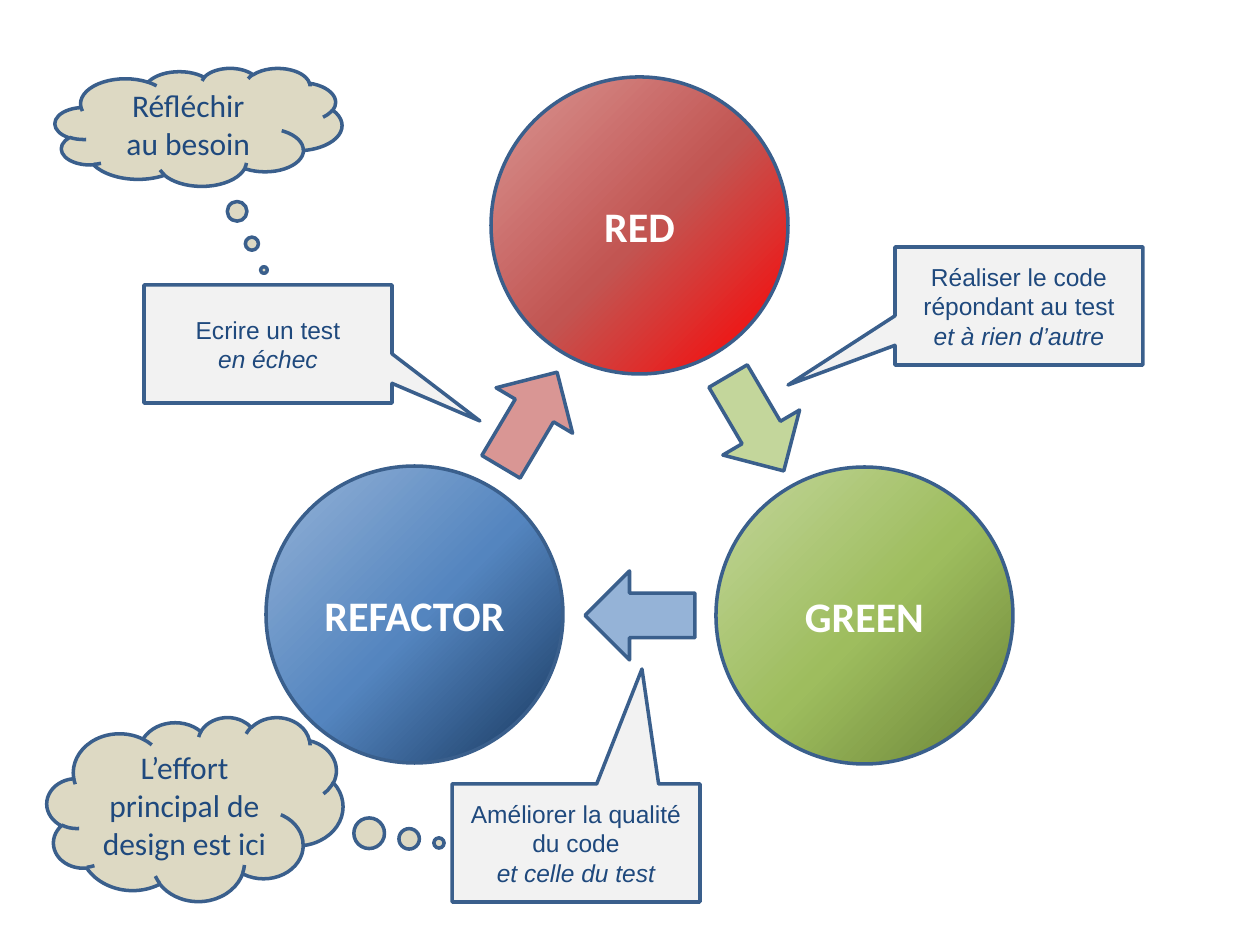
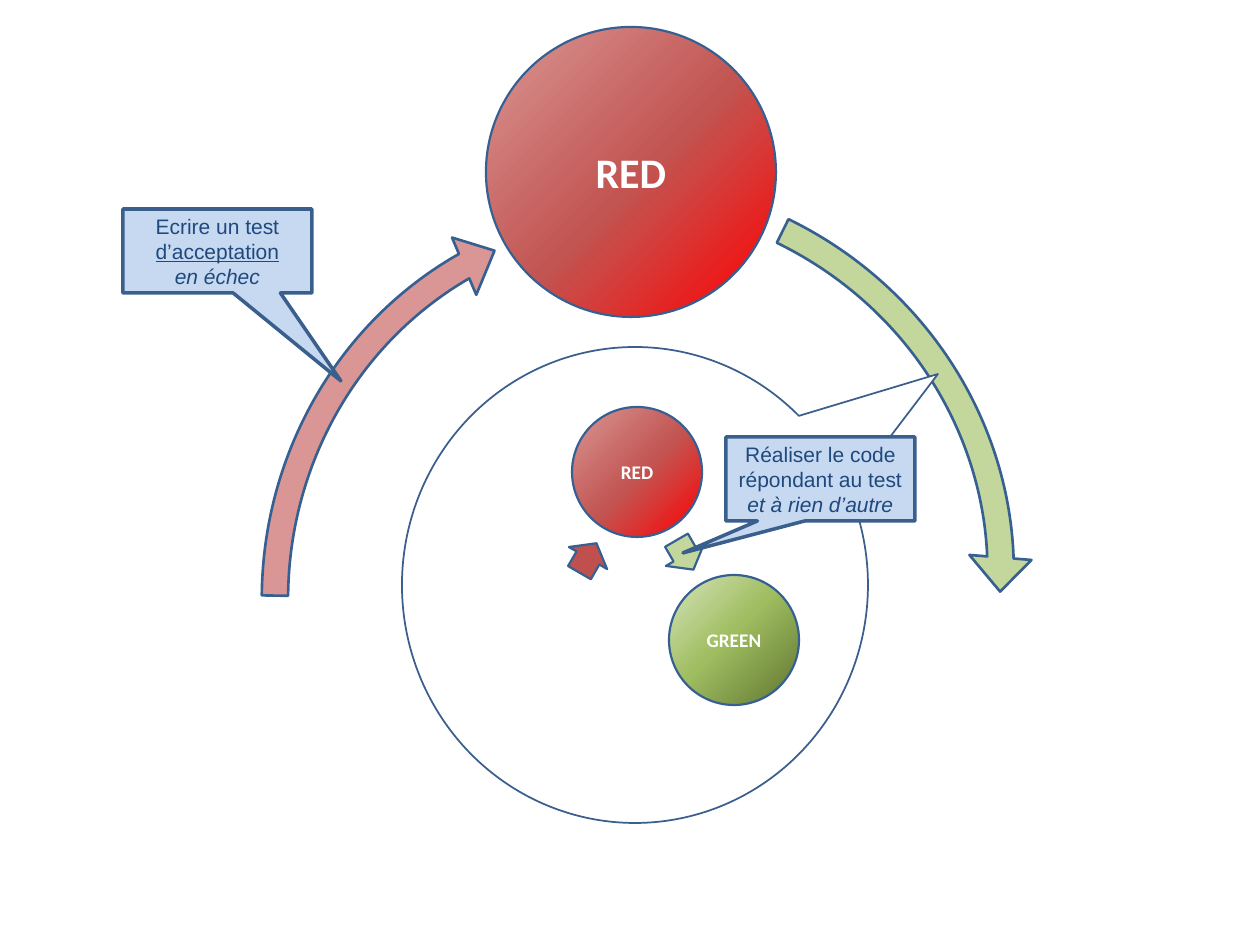
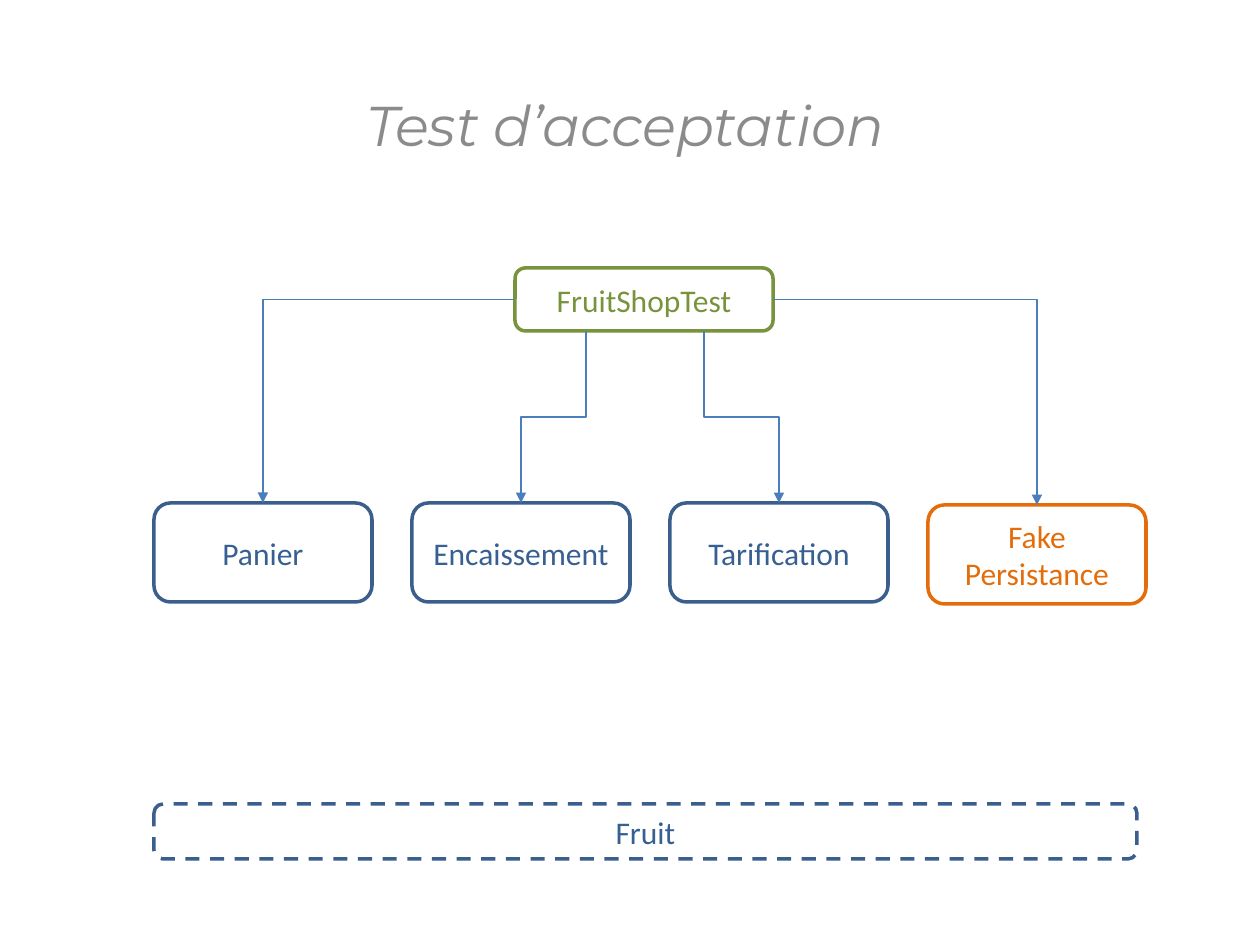
import pptx
import pptx.dml.color
import pptx.enum.dml
import pptx.enum.shapes
import pptx.enum.text
import pptx.oxml
import pptx.oxml.ns
import pptx.util

PX = 914400 // 126
SHAPE = pptx.enum.shapes.MSO_SHAPE
NAVY, OUTLINE, STEEL = "1F497D", "3A5F8C", "376092"
OLIVE, ORANGE, LINK, GREY = "77933C", "E46C0A", "4B7EBC", "8B8B8B"
PALE_GREY, PALE_BLUE, SAND, WHITE = "F2F2F2", "C6D9F1", "DDD9C3", "FFFFFF"
PINK, LIME, SKY, BRICK = "D99694", "C3D69B", "95B3D7", "C0504D"

# Gradients: stops as (percent, colour), then the angle
RED = ([(0, "FF0000"), (48, "C25552"), (100, PINK)], 225)
GREEN = ([(0, "6A8336"), (48, "9EBD5E"), (100, LIME)], 225)
BLUE = ([(0, "17375E"), (48, "5485BF"), (100, SKY)], 225)
SMALL_GREEN = ([(0, "D7E4BD"), (46, "A0BE61"), (100, "5F7530")], 45)

# Texts are lists of paragraphs: (words, style)
CODE_STEP = [("Réaliser le code répondant au test", ""), ("et à rien d’autre", "italic")]
TEST_STEP = [("Ecrire un test", ""), ("en échec", "italic")]
QUALITY_STEP = [("Améliorer la qualité du code", ""), ("et celle du test", "italic")]
ACCEPTANCE_STEP = [("Ecrire un test", ""), ("d’acceptation", "underline"), ("en échec", "italic")]

# Cycle: (label, gradient, left, top)
CYCLE_SIZE = 297
CYCLE_STEPS = [("RED", RED, 491, 77), ("GREEN", GREEN, 716, 467), ("REFACTOR", BLUE, 266, 466)]
# Callouts: (text, left, top, tip)
CYCLE_CALLOUT_SIZE = (248, 118)
CYCLE_CALLOUTS = [
    (CODE_STEP, 895, 247, (788, 385)),
    (QUALITY_STEP, 452, 784, (642, 669)),
    (TEST_STEP, 144, 285, (480, 421)),
]
# Thoughts: (text, box, tip)
THOUGHTS = [
    ([("L’effort principal de design est ici", "")], (47, 717, 296, 184), (439, 843)),
    ([("Réfléchir", ""), ("au besoin", "")], (55, 68, 287, 118), (264, 270)),
]
# Arrows: (left, top, rotation, fill)
CYCLE_ARROW_SIZE = (110, 89)
CYCLE_ARROWS = [(701, 379, 239.6, LIME), (474, 375, 120.7, PINK), (585, 571, 0, SKY)]

# Outer loop: (left, top, rotation, start angle, fill)
LOOP_SIZE = (798, 828)
LOOP_ARROWS = [(221, 147, 112.5, 183.74, LIME), (244, 188, 355, 185.99, PINK)]
# Circles: (label, gradient, left, top, size, font size)
LOOP_CIRCLES = [
    ("RED", RED, 486, 27, 290, 24),
    ("RED", RED, 572, 407, 130, 11),
    ("GREEN", SMALL_GREEN, 669, 575, 130, 11),
]
INNER_ARROW_SIZE = (34, 44)
INNER_ARROWS = [(668, 533, 60, LIME), (571, 536, 300, BRICK)]
LOOP_CALLOUT_SIZE = (189, 84)
LOOP_CALLOUTS = [(ACCEPTANCE_STEP, 123, 209, (341, 381)), (CODE_STEP, 726, 437, (683, 553))]
INNER_LOOP, INNER_TIP = (402, 347, 466, 476), (938, 374)

# Modules: (paragraphs, top, text colour, line colour, x where the link leaves the root)
MODULES = [
    (["Panier"], 503, STEEL, OUTLINE, None),
    (["Encaissement"], 503, STEEL, OUTLINE, 586),
    (["Tarification"], 503, STEEL, OUTLINE, 704),
    (["Fake", "Persistance"], 505, ORANGE, ORANGE, None),
]
MODULE_LEFT, MODULE_PITCH, MODULE_SIZE = 154, 258, (218, 99)
ROOT, BASE, TITLE = (515, 268, 258, 63), (154, 804, 983, 55), (35, 84, 1181, 81)


def rgb(colour):
    return pptx.dml.color.RGBColor.from_string(colour)


def emu(*lengths):
    return [round(length * PX) for length in lengths]


def write(shape, paragraphs, size, font="Calibri", colour=NAVY, bold=False, italic=False):
    frame = shape.text_frame
    frame.word_wrap = True
    for index, (words, style) in enumerate(paragraphs):
        paragraph = frame.paragraphs[0] if index == 0 else frame.add_paragraph()
        paragraph.alignment = pptx.enum.text.PP_ALIGN.CENTER
        run = paragraph.add_run()
        run.text = words
        run.font.name, run.font.size = font, pptx.util.Pt(size)
        run.font.color.rgb = rgb(colour)
        run.font.bold = bold
        run.font.italic = italic or style == "italic"
        run.font.underline = style == "underline"


def fill_gradient(shape, stops, angle):
    shape.fill.gradient()
    gradient = shape.fill._xPr.find(pptx.oxml.ns.qn("a:gradFill"))
    stop_list = gradient.find(pptx.oxml.ns.qn("a:gsLst"))
    for stop in list(stop_list):
        stop_list.remove(stop)
    for percent, colour in stops:
        stop_list.append(pptx.oxml.parse_xml(
            f'<a:gs {pptx.oxml.ns.nsdecls("a")} pos="{percent * 1000}">'
            f'<a:srgbClr val="{colour}"/></a:gs>'))
    shape.fill.gradient_angle = 360 - angle


def add_shape(slide, kind, box, fill=None, line=OUTLINE, width=2, rotation=0, adjustments=()):
    """Add a preset shape; fill is a colour, a gradient or None."""
    shape = slide.shapes.add_shape(kind, *emu(*box))
    shape.shadow.inherit = False
    shape.rotation = rotation
    for index, value in enumerate(adjustments):
        shape.adjustments[index] = value
    if fill is None:
        shape.fill.background()
    elif isinstance(fill, str):
        shape.fill.solid()
        shape.fill.fore_color.rgb = rgb(fill)
    else:
        fill_gradient(shape, *fill)
    shape.line.color.rgb = rgb(line)
    shape.line.width = pptx.util.Pt(width)
    return shape


def add_callout(slide, kind, box, tip, fill, **line):
    """Add a callout whose tail ends at the point tip."""
    left, top, width, height = box
    offsets = ((tip[0] - left) / width - 0.5, (tip[1] - top) / height - 0.5)
    return add_shape(slide, kind, box, fill, adjustments=offsets, **line)


def add_circle(slide, label, gradient, left, top, size, font_size, **line):
    circle = add_shape(slide, SHAPE.OVAL, (left, top, size, size), gradient, **line)
    frame = circle.text_frame
    frame.margin_left = frame.margin_right = 0
    write(circle, [(label, "")], font_size, colour=WHITE, bold=True)


def add_elbow(slide, start, end, vertical_start):
    """Link two points: down-across-down if vertical_start, else across-down."""
    (x1, y1), (x2, y2) = start, end
    if vertical_start:
        # Ends of the connector before its quarter turn about the centre
        middle_x, middle_y, dx, dy = (x1 + x2) / 2, (y1 + y2) / 2, x2 - x1, y2 - y1
        x1, x2 = middle_x - dy / 2, middle_x + dy / 2
        y1, y2 = middle_y + dx / 2, middle_y - dx / 2
    connector = slide.shapes.add_connector(
        pptx.enum.shapes.MSO_CONNECTOR.ELBOW, *emu(x1, y1, x2, y2))
    connector.line.color.rgb = rgb(LINK)
    connector.line.width = pptx.util.Pt(0.75)
    properties = connector._element.spPr
    if vertical_start:
        properties.find(pptx.oxml.ns.qn("a:xfrm")).set("rot", str(90 * 60000))
    else:
        properties.find(pptx.oxml.ns.qn("a:prstGeom")).set("prst", "bentConnector2")
    namespace = pptx.oxml.ns.nsdecls("a")
    properties.find(pptx.oxml.ns.qn("a:ln")).append(
        pptx.oxml.parse_xml(f'<a:tailEnd {namespace} type="triangle"/>'))
    properties.append(pptx.oxml.parse_xml(f"<a:effectLst {namespace}/>"))


def add_box_callouts(slide, callouts, size, fill, font_size):
    for text, left, top, tip in callouts:
        callout = add_callout(slide, SHAPE.RECTANGULAR_CALLOUT, (left, top, *size), tip, fill)
        write(callout, text, font_size, font="Arial")


def build_cycle(slide):
    for step in CYCLE_STEPS:
        add_circle(slide, *step, CYCLE_SIZE, 24)
    add_box_callouts(slide, CYCLE_CALLOUTS, CYCLE_CALLOUT_SIZE, PALE_GREY, 14)
    for text, box, tip in THOUGHTS:
        write(add_callout(slide, SHAPE.CLOUD_CALLOUT, box, tip, SAND), text, 18)
    for left, top, rotation, fill in CYCLE_ARROWS:
        add_shape(slide, SHAPE.LEFT_ARROW, (left, top, *CYCLE_ARROW_SIZE), fill, rotation=rotation)


def build_double_loop(slide):
    for left, top, rotation, start, fill in LOOP_ARROWS:
        # Angles in degrees become adjustment units
        angles = [degrees * 0.6 for degrees in (5.13, 246.97, start)]
        add_shape(slide, SHAPE.CIRCULAR_ARROW, (left, top, *LOOP_SIZE), fill, STEEL, 1.5,
                  rotation, (3.3 / 100, *angles, 3.9 / 100))
    add_callout(slide, SHAPE.OVAL_CALLOUT, INNER_LOOP, INNER_TIP, WHITE, width=1)
    for circle in LOOP_CIRCLES:
        add_circle(slide, *circle, line=STEEL, width=1.25)
    for left, top, rotation, fill in INNER_ARROWS:
        add_shape(slide, SHAPE.RIGHT_ARROW, (left, top, *INNER_ARROW_SIZE), fill, STEEL, 1.25,
                  rotation, (0.6, 0.5))
    add_box_callouts(slide, LOOP_CALLOUTS, LOOP_CALLOUT_SIZE, PALE_BLUE, 12)


def build_acceptance_test(slide):
    title = slide.shapes.add_textbox(*emu(*TITLE))
    write(title, [("Test d’acceptation", "")], 32, "Montserrat", GREY, italic=True)

    left, top, width, height = ROOT
    root = add_shape(slide, SHAPE.ROUNDED_RECTANGLE, ROOT, line=OLIVE)
    write(root, [("FruitShopTest", "")], 18, colour=OLIVE)
    base = add_shape(slide, SHAPE.ROUNDED_RECTANGLE, BASE)
    base.line.dash_style = pptx.enum.dml.MSO_LINE.DASH
    write(base, [("Fruit", "")], 18, colour=STEEL)

    for index, (names, module_top, colour, line, link_x) in enumerate(MODULES):
        module_left = MODULE_LEFT + index * MODULE_PITCH
        module = add_shape(slide, SHAPE.ROUNDED_RECTANGLE,
                           (module_left, module_top, *MODULE_SIZE), line=line)
        write(module, [(name, "") for name in names], 18, colour=colour)
        end = (module_left + MODULE_SIZE[0] / 2, module_top)
        if link_x:
            add_elbow(slide, (link_x, top + height), end, True)
        else:
            side = left if end[0] < left else left + width
            add_elbow(slide, (side, top + height / 2), end, False)


def main():
    presentation = pptx.Presentation()
    presentation.slide_width = pptx.util.Inches(10)
    presentation.slide_height = pptx.util.Inches(7.5)
    for build in (build_cycle, build_double_loop, build_acceptance_test):
        build(presentation.slides.add_slide(presentation.slide_layouts[6]))
    presentation.save("out.pptx")


if __name__ == "__main__":
    main()
